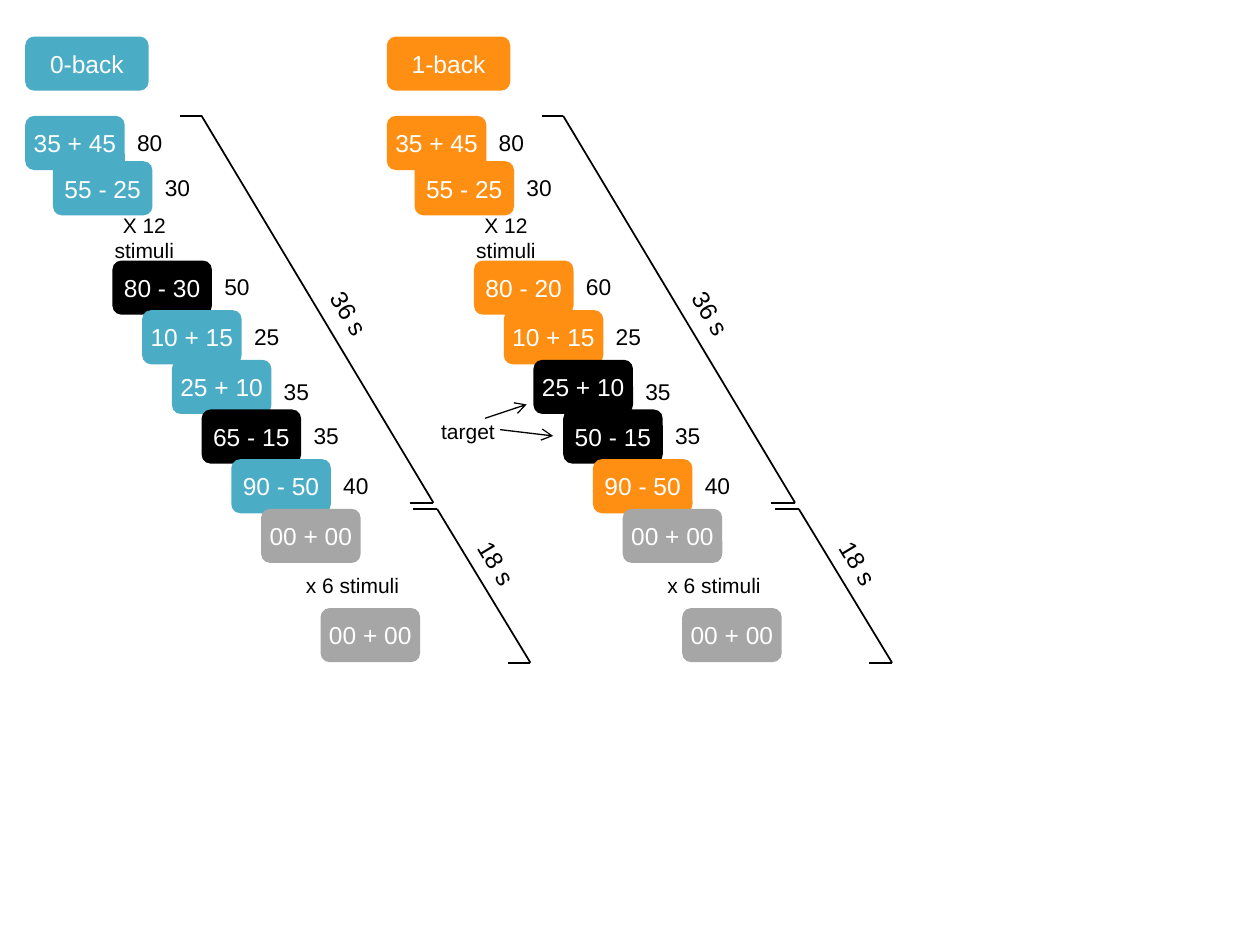
from lxml import etree
from pptx import Presentation
from pptx.dml.color import RGBColor
from pptx.enum.shapes import MSO_CONNECTOR, MSO_SHAPE
from pptx.enum.text import MSO_ANCHOR, PP_ALIGN
from pptx.oxml.ns import qn
from pptx.util import Inches, Pt

STRAIGHT = MSO_CONNECTOR.STRAIGHT
ROUNDED = MSO_SHAPE.ROUNDED_RECTANGLE
MIDDLE = MSO_ANCHOR.MIDDLE
CENTER = PP_ALIGN.CENTER

BLUE = RGBColor(0x4B, 0xAC, 0xC6)
ORANGE = RGBColor(0xFF, 0x8F, 0x13)
BLACK = RGBColor(0, 0, 0)
GRAY = RGBColor(0xA6, 0xA6, 0xA6)
WHITE = RGBColor(0xFF, 0xFF, 0xFF)

# Each trial is (sum, answer, fill); a trial without fill is a plain caption.
REST = [
    ("00 + 00", None, GRAY),
    ("x 6 stimuli", None, None),
    ("00 + 00", None, GRAY),
]
CONDITIONS = [
    ("0-back", BLUE, [
        ("35 + 45", "80", BLUE),
        ("55 - 25", "30", BLUE),
        ("X 12 stimuli", None, None),
        ("80 - 30", "50", BLACK),
        ("10 + 15", "25", BLUE),
        ("25 + 10", "35", BLUE),
        ("65 - 15", "35", BLACK),
        ("90 - 50", "40", BLUE),
    ]),
    ("1-back", ORANGE, [
        ("35 + 45", "80", ORANGE),
        ("55 - 25", "30", ORANGE),
        ("X 12 stimuli", None, None),
        ("80 - 20", "60", ORANGE),
        ("10 + 15", "25", ORANGE),
        ("25 + 10", "35", BLACK),
        ("50 - 15", "35", BLACK),
        ("90 - 50", "40", ORANGE),
    ]),
]
# Duration, text position, and the bracket's corner points, for the first condition
BRACKETS = [
    ("36 s", (2.48, 2.33), [(1.43, 0.92), (1.6, 0.92), (3.44, 3.99), (3.25, 3.99)]),
    ("18 s", (3.65, 4.31), [(3.28, 4.04), (3.47, 4.04), (4.21, 5.26), (4.03, 5.26)]),
]
TARGET_ARROWS = [((3.85, 3.32), (4.18, 3.21)), ((3.97, 3.41), (4.39, 3.46))]

CONDITION_GAP = 2.87
FIRST_TRIAL = (0.2, 0.92)
SECOND_TRIAL = (0.42, 1.28)
STEP_X, STEP_Y = 0.236, 0.394
TRIAL_W, LABEL_W, BOX_H = 0.79, 0.98, 0.43
LOW_ANSWER_ROW = 5

prs = Presentation()
prs.slide_width, prs.slide_height = Inches(10), Inches(7.5)
slide = prs.slides.add_slide(prs.slide_layouts[6])


def write(shape, text, size, color):
    paragraph = shape.text_frame.paragraphs[0]
    paragraph.text = text
    font = paragraph.runs[0].font
    font.name, font.size, font.color.rgb = "Arial", Pt(size), color
    return paragraph


def center_tightly(shape, paragraph):
    """Centre the text both ways inside narrow margins."""
    frame = shape.text_frame
    frame.vertical_anchor = MIDDLE
    frame.margin_left = frame.margin_right = Inches(0.04)
    frame.margin_top = frame.margin_bottom = Inches(0.04)
    paragraph.alignment = CENTER


def add_box(x, y, width, text, fill):
    box = slide.shapes.add_shape(
        ROUNDED, Inches(x), Inches(y), Inches(width), Inches(BOX_H))
    box.shadow.inherit = False
    box.line.fill.background()
    if fill is None:
        box.fill.background()
        paragraph = write(box, text, 12, BLACK)
    else:
        box.fill.solid()
        box.fill.fore_color.rgb = fill
        paragraph = write(box, text, 14, WHITE)
    center_tightly(box, paragraph)


def add_text(x, y, width, height, text, size):
    label = slide.shapes.add_textbox(
        Inches(x), Inches(y), Inches(width), Inches(height))
    label.text_frame.word_wrap = True
    return label, write(label, text, size, BLACK)


def add_line(start, end, width, arrow=False):
    line = slide.shapes.add_connector(
        STRAIGHT, *(Inches(v) for v in (*start, *end)))
    line.line.color.rgb = BLACK
    line.line.width = Pt(width)
    if arrow:
        etree.SubElement(line.line._get_or_add_ln(), qn("a:tailEnd"), type="arrow")
    etree.SubElement(line._element.spPr, qn("a:effectLst"))


def trial_position(row):
    """The first trial sits apart; the others descend in equal steps."""
    if row == 0:
        return FIRST_TRIAL
    x, y = SECOND_TRIAL
    return x + (row - 1) * STEP_X, y + (row - 1) * STEP_Y


for column, (name, color, trials) in enumerate(CONDITIONS):
    shift = column * CONDITION_GAP
    add_box(0.2 + shift, 0.29, LABEL_W, name, color)

    for row, (trial, answer, fill) in enumerate(trials + REST):
        x, y = trial_position(row)
        add_box(x + shift, y, TRIAL_W if fill else LABEL_W, trial, fill)
        if answer:
            drop = 0.09 if row == LOW_ANSWER_ROW else 0.05
            add_text(x + shift + TRIAL_W, y + drop, 0.43, 0.32, answer, 13)

    for duration, (x, y), corners in BRACKETS:
        points = [(px + shift, py) for px, py in corners]
        for start, end in zip(points, points[1:]):
            add_line(start, end, 1)
        label, _ = add_text(x + shift, y, 0.59, 0.34, duration, 14)
        label.rotation = 59

target, target_paragraph = add_text(3.46, 3.32, 0.51, 0.2, "target", 12)
target.text_frame.word_wrap = False
center_tightly(target, target_paragraph)
for start, end in TARGET_ARROWS:
    add_line(start, end, 0.75, arrow=True)

prs.save("out.pptx")
